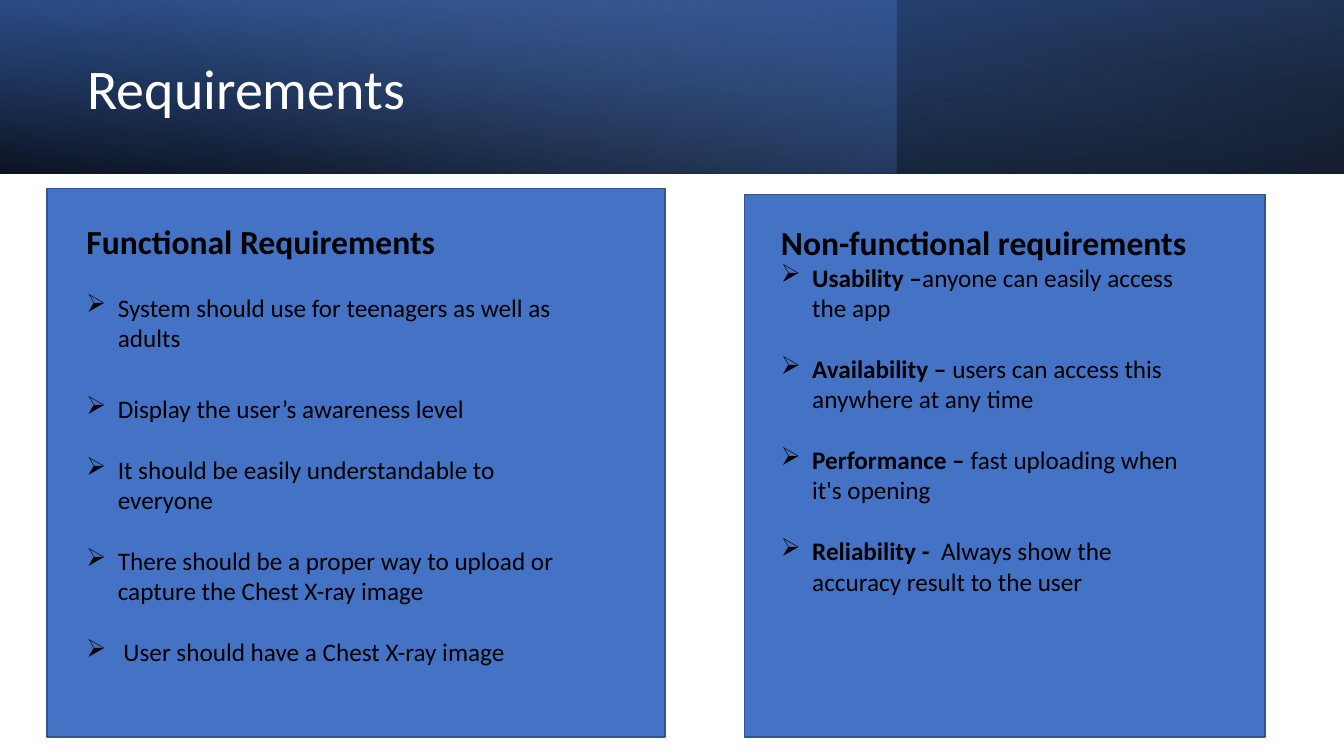
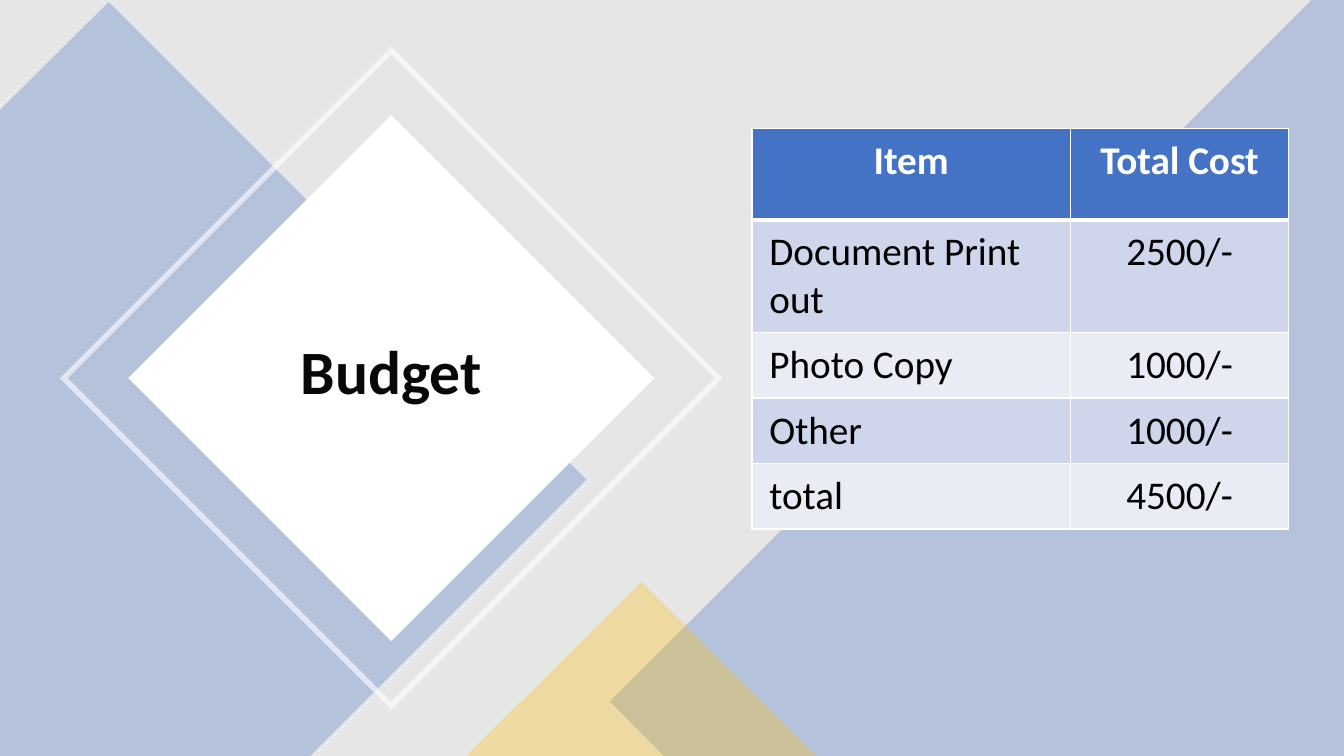
from lxml import etree
from pptx import Presentation
from pptx.dml.color import RGBColor
from pptx.enum.shapes import MSO_SHAPE
from pptx.enum.text import MSO_ANCHOR, PP_ALIGN
from pptx.oxml.ns import qn
from pptx.util import Cm, Pt

RECT, FRAME, PEAK = MSO_SHAPE.RECTANGLE, MSO_SHAPE.FRAME, MSO_SHAPE.ISOSCELES_TRIANGLE
MIDDLE, LEFT, CENTER = MSO_ANCHOR.MIDDLE, PP_ALIGN.LEFT, PP_ALIGN.CENTER
FONT = "Calibri"
WIDE, HIGH = 33.87, 19.05
INK = {
    "white": "FFFFFF", "black": "000000", "soft": "080808", "blue": "4472C4",
    "edge": "325491", "deep": "2F5597", "sky": "8FAADC", "grey": "E7E6E6",
    "gold": "FFC000", "band": "CFD5EA", "pale": "E9EBF5",
}


def paint(shape, color, alpha=100, edge=None):
    """Give a shape a flat fill, with an optional outline."""
    shape.shadow.inherit = False
    shape.fill.solid()
    shape.fill.fore_color.rgb = RGBColor.from_string(INK[color])
    if alpha < 100:
        tone = shape._element.spPr.find(".//" + qn("a:srgbClr"))
        etree.SubElement(tone, qn("a:alpha"), val=str(alpha * 1000))
    if edge:
        shape.line.color.rgb = RGBColor.from_string(INK[edge])
        shape.line.width = Pt(1)
    else:
        shape.line.fill.background()


def style(par, size, color, bold=False, align=LEFT):
    """Format every run of a paragraph."""
    par.alignment = align
    for run in par.runs:
        run.font.name = FONT
        run.font.size = Pt(size)
        run.font.bold = bold
        run.font.color.rgb = RGBColor.from_string(INK[color])


deck = Presentation()
deck.slide_width, deck.slide_height = Cm(WIDE), Cm(HIGH)
blank = deck.slide_layouts[6]
needs = deck.slides.add_slide(blank)
budget = deck.slides.add_slide(blank)

# Header band: width, rotation, flip, angle, stops (position, colour, alpha)
layers = [
    (WIDE, 180, True, 100, [(0, "black", 96), (1, "deep", 100)]),
    (22.58, 0, False, 140, [(0, "blue", 41), (0.74, "sky", 0)]),
    (WIDE, 0, True, 260, [(0, "black", 63), (0.78, "blue", 15)]),
]
for width, turn, flip, angle, stops in layers:
    band = needs.shapes.add_shape(RECT, 0, 0, Cm(width), Cm(4.38))
    band.shadow.inherit = False
    band.line.fill.background()
    band.rotation = turn
    props = band._element.spPr
    if flip:
        props.find(qn("a:xfrm")).set("flipH", "1")
    band.fill.gradient()
    band.fill.gradient_angle = 360 - angle
    for stop, (place, color, alpha) in zip(band.fill.gradient_stops, stops):
        stop.position = place
        stop.color.rgb = RGBColor.from_string(INK[color])
    for tone, (place, color, alpha) in zip(props.iter(qn("a:srgbClr")), stops):
        etree.SubElement(tone, qn("a:alpha"), val=str(alpha * 1000))

# Requirement panels: panel, text box, heading, items (space before, lead, rest)
panels = [
    ((1.19, 4.75, 15.57, 13.82), (1.93, 5.44, 13.08, 13.08), "Functional Requirements", [
        (22, "", "System should use for teenagers as well as adults"),
        (29, "", "Display the user’s awareness level"),
        (22, "", "It should be easily understandable to everyone"),
        (22, "", "There should be a proper way to upload or capture the Chest X-ray image"),
        (22, "", " User should have a Chest X-ray image"),
    ]),
    ((18.77, 4.9, 13.11, 13.67), (19.43, 5.46, 11.02, 10.52), "Non-functional requirements", [
        (0, "Usability –", "anyone can easily access the app"),
        (22, "Availability – ", "users can access this anywhere at any time"),
        (22, "Performance – ", "fast uploading when it's opening"),
        (22, "Reliability - ", " Always show the accuracy result to the user"),
    ]),
]
for area, inner, head, items in panels:
    paint(needs.shapes.add_shape(RECT, *map(Cm, area)), "blue", edge="edge")
    frame = needs.shapes.add_textbox(*map(Cm, inner)).text_frame
    frame.word_wrap = True
    frame.text = head
    style(frame.paragraphs[0], 24, "black", True)
    for gap, lead, rest in items:
        par = frame.add_paragraph()
        props = par._p.get_or_add_pPr()
        props.set("marL", str(Cm(0.79)))
        props.set("indent", str(Cm(-0.79)))
        etree.SubElement(props, qn("a:buChar"), char="➢")
        par.space_before = Pt(gap)
        for part in filter(None, (lead, rest)):
            par.add_run().text = part
        style(par, 18, "black")
        if lead:
            par.runs[0].font.bold = True

# Budget backdrop
budget.background.fill.solid()
budget.background.fill.fore_color.rgb = RGBColor.from_string(INK["grey"])
wings = [
    [(2.74, 0.05), (14.78, 12.09), (7.82, HIGH), (0, HIGH), (0, 2.77)],
    [(33.05, 0), (WIDE, 0), (WIDE, HIGH), (16.74, HIGH), (15.37, 17.68)],
]
for wing in wings:
    dots = [(Cm(x), Cm(y)) for x, y in wing]
    path = budget.shapes.build_freeform(*dots[0], scale=1.0)
    path.add_line_segments(dots[1:], close=True)
    paint(path.convert_to_shape(), "blue", 30)
peak = budget.shapes.add_shape(PEAK, Cm(11.76), Cm(14.66), Cm(8.81), Cm(4.39))
paint(peak, "gold", 30)

# Diamond and its rim, both round one centre
mid_x, mid_y = 9.86, 9.53
for kind, side, alpha in [(RECT, 9.37, 100), (FRAME, 11.81, 60)]:
    gem = budget.shapes.add_shape(
        kind, Cm(mid_x - side / 2), Cm(mid_y - side / 2), Cm(side), Cm(side))
    gem.rotation = 45
    if kind == FRAME:
        gem.adjustments[0] = 0.012
    paint(gem, "white", alpha)

# Titles
titles = [
    (needs, (1.96, 0.69, 19.61, 3.23), "Requirements", 40, "white", False, LEFT),
    (budget, (4.83, 7.57, 10.06, 3.73), "Budget", 44, "soft", True, CENTER),
]
for slide, area, text, size, color, bold, align in titles:
    frame = slide.shapes.add_textbox(*map(Cm, area)).text_frame
    frame.word_wrap = True
    frame.vertical_anchor = MIDDLE
    frame.text = text
    frame.paragraphs[0].line_spacing = 0.9
    style(frame.paragraphs[0], size, color, bold, align)

# Cost table
rows = [
    ("Item", "Total Cost"),
    ("Document Print out", "2500/-"),
    ("Photo Copy", "1000/-"),
    ("Other", "1000/-"),
    ("total", "4500/-"),
]
highs = [2.31, 2.84, 1.65, 1.65, 1.65]
wides = [8.03, 5.49]
table = budget.shapes.add_table(
    len(rows), len(wides), Cm(18.95), Cm(3.23), Cm(sum(wides)), Cm(sum(highs))).table
for col, width in zip(table.columns, wides):
    col.width = Cm(width)
for r, row in enumerate(rows):
    table.rows[r].height = Cm(highs[r])
    for c, text in enumerate(row):
        cell = table.cell(r, c)
        cell.text = text
        cell.margin_left = cell.margin_right = Cm(0.44)
        cell.margin_top = cell.margin_bottom = Cm(0.22)
        props = cell._tc.get_or_add_tcPr()
        for side in ("lnL", "lnR", "lnT", "lnB"):
            thick = (r, side) in [(0, "lnB"), (1, "lnT")]
            line = etree.SubElement(props, qn("a:" + side), w=str(Pt(3 if thick else 1)))
            tone = etree.SubElement(line, qn("a:solidFill"))
            etree.SubElement(tone, qn("a:srgbClr"), val=INK["white"])
        fill = "blue" if r == 0 else ("pale", "band")[r % 2]
        cell.fill.solid()
        cell.fill.fore_color.rgb = RGBColor.from_string(INK[fill])
        style(cell.text_frame.paragraphs[0], 28, "black" if r else "white",
              r == 0, LEFT if r and c == 0 else CENTER)

deck.save("out.pptx")
